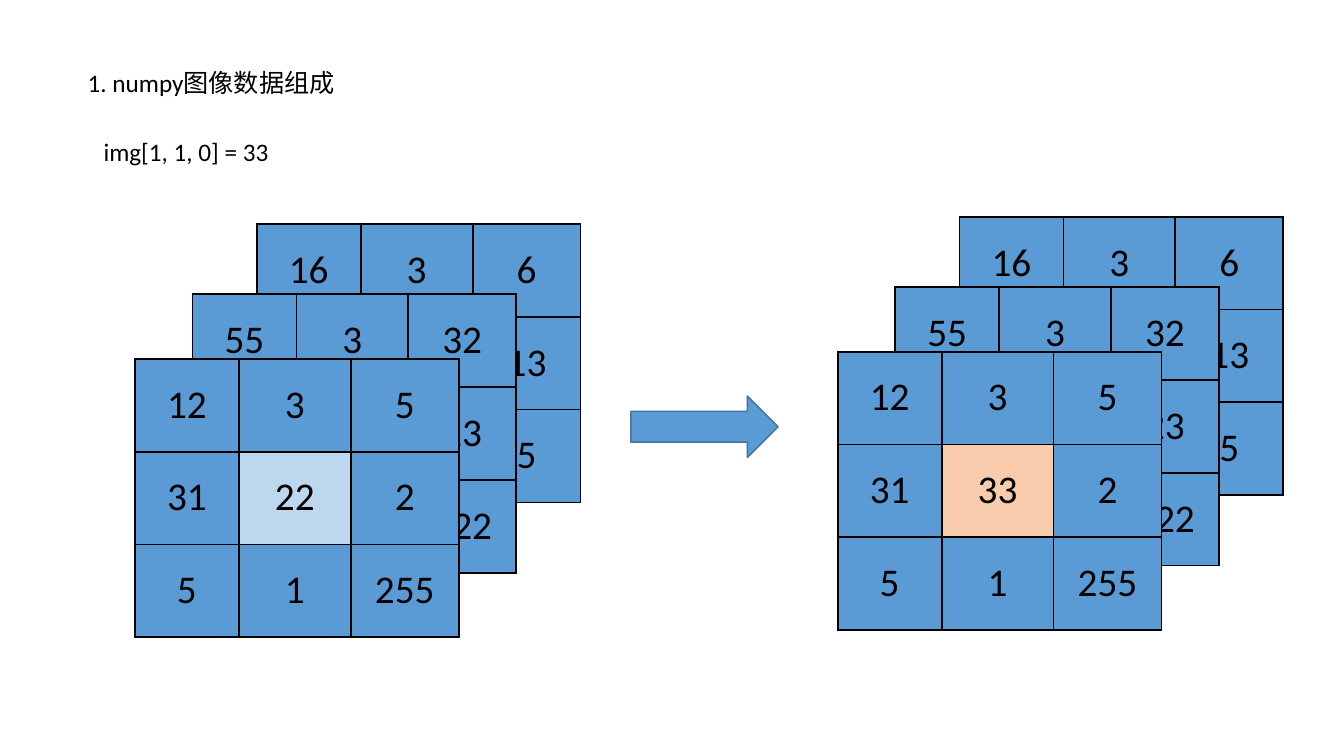
from dataclasses import dataclass

from lxml.etree import SubElement
from pptx import Presentation
from pptx.dml.color import RGBColor
from pptx.enum.shapes import MSO_SHAPE
from pptx.enum.text import MSO_ANCHOR, MSO_AUTO_SIZE, PP_ALIGN
from pptx.oxml.ns import qn
from pptx.slide import Slide
from pptx.table import _Cell
from pptx.util import Cm, Pt

BLACK = "000000"
BLUE = "5B9BD5"
COL_WIDTHS = (2.62, 2.82, 2.72)
ROW_HEIGHT = 2.34
TABLE_FLAGS = {"first_row": False, "horz_banding": False}
CENTRED = {"alignment": PP_ALIGN.CENTER, "line_spacing": 0.9}


@dataclass(frozen=True)
class Channel:
    """One colour plane, placed relative to the front plane of its image."""
    dx: float
    dy: float
    values: tuple


@dataclass(frozen=True)
class Image:
    """A stack of channels whose front plane has one marked pixel."""
    left: float
    top: float
    pixel: int
    pixel_fill: str


@dataclass(frozen=True)
class Label:
    left: float
    top: float
    width: float
    text: str


BACK_CHANNELS = (
    Channel(3.07, -3.4, ((16, 3, 6), (88, 255, 13), (98, 0, 5))),
    Channel(1.45, -1.63, ((55, 3, 32), (13, 267, 23), (1, 12, 122))),
)
BEFORE = Image(3.4, 9.04, 22, "BDD7EE")
AFTER = Image(21.11, 8.86, 33, "F8CBAD")
LABELS = (
    Label(1.96, 1.57, 16.69, "1. numpy图像数据组成"),
    Label(2.36, 3.3, 8.23, "img[1, 1, 0] = 33"),
)


def rgb(color: str) -> RGBColor:
    return RGBColor.from_string(color)


def set_all(target: object, values: dict) -> None:
    for name, value in values.items():
        setattr(target, name, value)


def add_run(p, text: str, size: int) -> None:
    r = p.add_run()
    r.text = text
    set_all(r.font, {"name": "Calibri", "size": Pt(size), "bold": False})
    r.font.color.rgb = rgb(BLACK)


def add_borders(cell: _Cell) -> None:
    tc_pr = cell._tc.get_or_add_tcPr()
    for side in ("lnL", "lnR", "lnT", "lnB"):
        ln = SubElement(tc_pr, qn(f"a:{side}"), w=str(Pt(1.5)))
        fill = SubElement(ln, qn("a:solidFill"))
        SubElement(fill, qn("a:srgbClr"), val=BLACK)


def format_cell(cell: _Cell, value: int, color: str) -> None:
    add_borders(cell)
    cell.fill.solid()
    cell.fill.fore_color.rgb = rgb(color)
    cell.vertical_anchor = MSO_ANCHOR.MIDDLE
    p = cell.text_frame.paragraphs[0]
    set_all(p, CENTRED)
    add_run(p, str(value), 28)


def add_channel(s: Slide, image: Image, channel: Channel, center_fill: str = BLUE) -> None:
    rows, cols = len(channel.values), len(COL_WIDTHS)
    table = s.shapes.add_table(
        rows, cols, Cm(image.left + channel.dx), Cm(image.top + channel.dy),
        Cm(sum(COL_WIDTHS)), Cm(rows * ROW_HEIGHT)).table
    set_all(table, TABLE_FLAGS)
    for column, width in zip(table.columns, COL_WIDTHS):
        column.width = Cm(width)
    for i, row in enumerate(channel.values):
        table.rows[i].height = Cm(ROW_HEIGHT)
        for j, value in enumerate(row):
            format_cell(table.cell(i, j), value, center_fill if i == j == 1 else BLUE)


def add_image(s: Slide, image: Image) -> None:
    for channel in BACK_CHANNELS:
        add_channel(s, image, channel)
    front = Channel(0, 0, ((12, 3, 5), (31, image.pixel, 2), (5, 1, 255)))
    add_channel(s, image, front, image.pixel_fill)


def add_label(s: Slide, label: Label) -> None:
    sp = s.shapes.add_textbox(Cm(label.left), Cm(label.top), Cm(label.width), Cm(1.02))
    tf = sp.text_frame
    set_all(tf, {"word_wrap": True, "auto_size": MSO_AUTO_SIZE.SHAPE_TO_FIT_TEXT})
    add_run(tf.paragraphs[0], label.text, 18)


def add_arrow(s: Slide) -> None:
    sp = s.shapes.add_shape(MSO_SHAPE.RIGHT_ARROW, Cm(15.9), Cm(9.98), Cm(3.71), Cm(1.55))
    sp.shadow.inherit = False
    sp.fill.solid()
    sp.fill.fore_color.rgb = rgb(BLUE)
    sp.line.color.rgb = rgb("43739E")
    sp.line.width = Pt(1)


def main() -> None:
    prs = Presentation()
    set_all(prs, {"slide_width": Cm(33.87), "slide_height": Cm(19.05)})
    s = prs.slides.add_slide(prs.slide_layouts[6])
    for label in LABELS:
        add_label(s, label)
    for image in (AFTER, BEFORE):
        add_image(s, image)
    add_arrow(s)
    prs.save("out.pptx")


if __name__ == "__main__":
    main()
